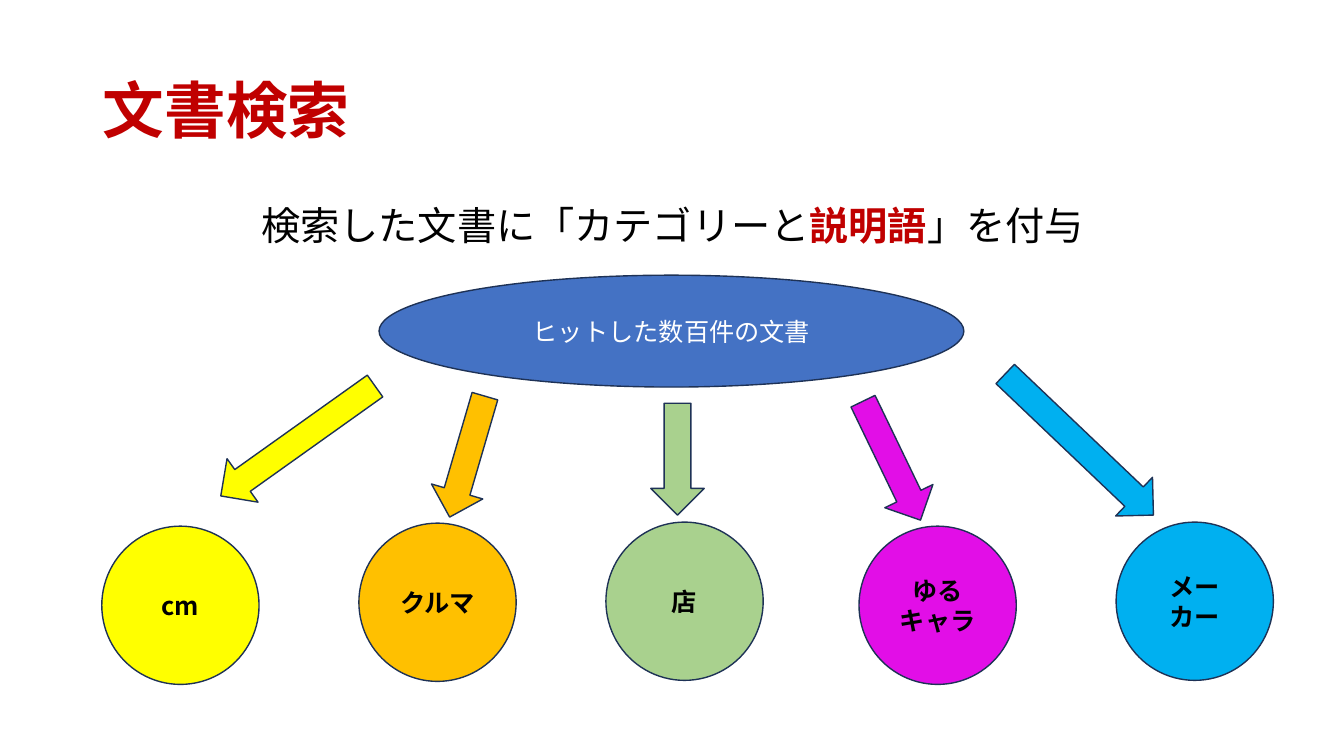
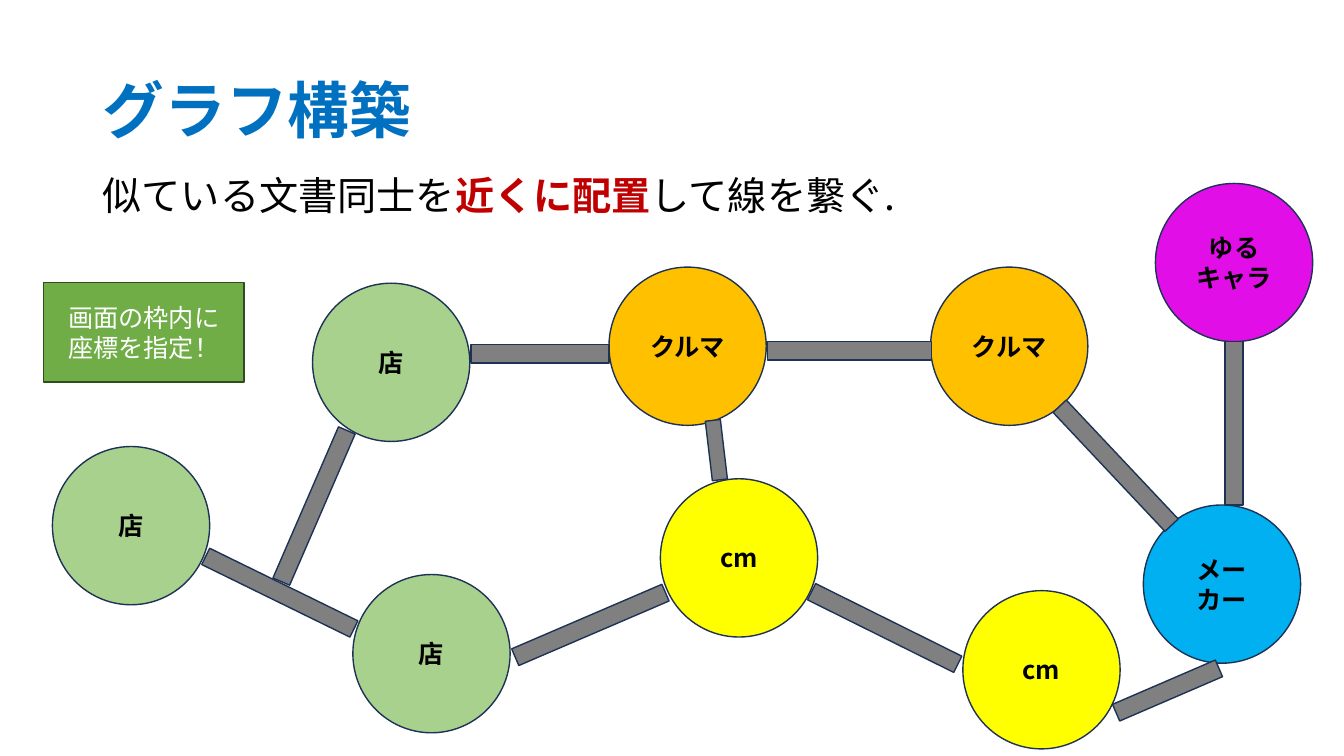
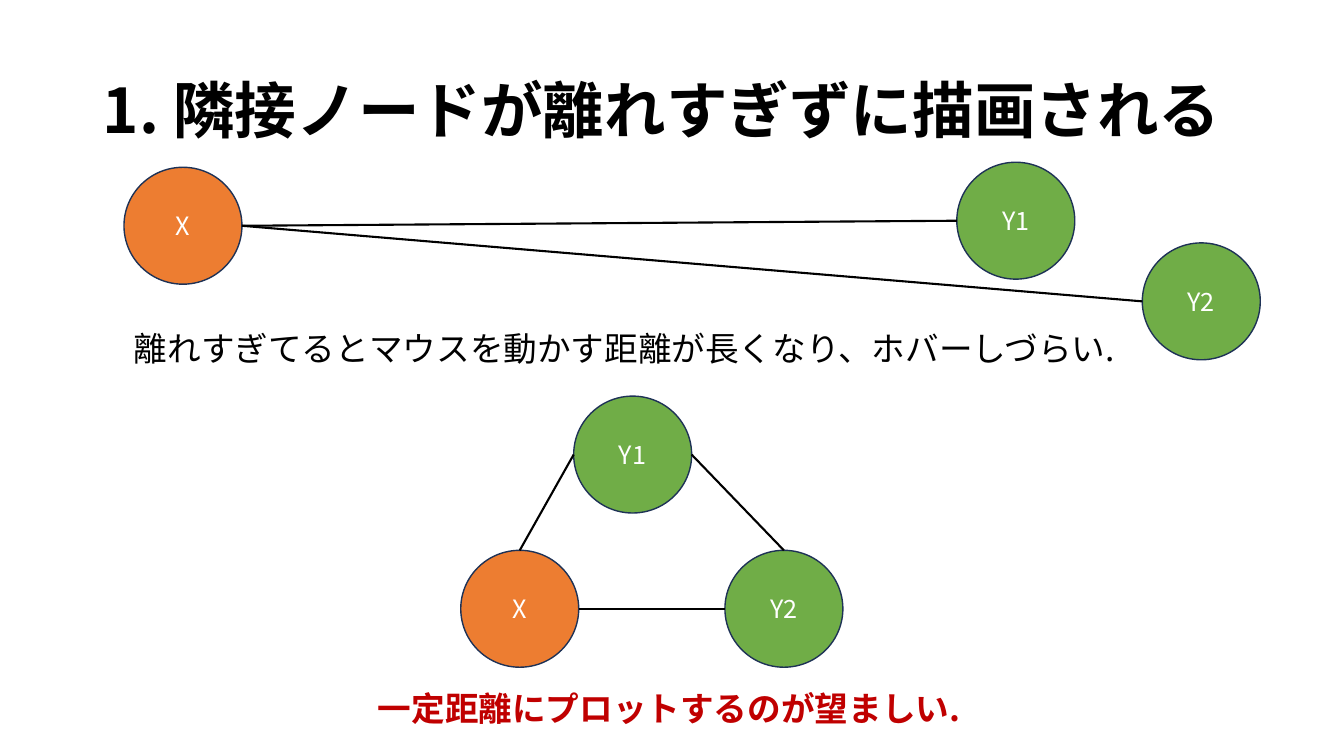
import math
from dataclasses import dataclass

from lxml import etree
from pptx import Presentation
from pptx.dml.color import RGBColor
from pptx.enum.shapes import MSO_CONNECTOR, MSO_SHAPE
from pptx.enum.text import MSO_ANCHOR, MSO_AUTO_SIZE, PP_ALIGN
from pptx.oxml.ns import qn
from pptx.util import Inches, Pt

LEFT, CENTER = PP_ALIGN.LEFT, PP_ALIGN.CENTER
MIDDLE = MSO_ANCHOR.MIDDLE
NO_AUTOFIT = MSO_AUTO_SIZE.NONE
STRAIGHT = MSO_CONNECTOR.STRAIGHT
OVAL, RECTANGLE = MSO_SHAPE.OVAL, MSO_SHAPE.RECTANGLE
DOCUMENT_CIRCLE = MSO_SHAPE.FLOWCHART_CONNECTOR
BAR, DOWN_ARROW = MSO_SHAPE.FLOWCHART_PROCESS, MSO_SHAPE.DOWN_ARROW
TITLE_ONLY = 5


@dataclass(frozen=True)
class Theme:
    font: str = "Noto Sans CJK JP"
    title_size: int = 44
    lead_size: int = 28
    note_size: int = 24
    label_size: int = 18
    black: str = "000000"
    white: str = "FFFFFF"
    red: str = "C00000"
    title_blue: str = "0070C0"
    blue: str = "4472C4"
    green: str = "70AD47"
    orange: str = "ED7D31"
    gray: str = "808080"
    outline: str = "1E3256"
    green_outline: str = "314C1F"


THEME = Theme()

# Shared content: label and fill of each document category
CATEGORIES = {
    "length": ("cm", "FFFF00"),
    "car": ("クルマ", "FFC000"),
    "shop": ("店", "A9D18E"),
    "mascot": ("ゆるキャラ", "E20EE7"),
    "maker": ("メー\nカー", "00B0F0"),
}
DOCUMENT_SIZE = (1.56, 1.57)
NODE_SIZE = (1.17, 1.16)
TITLE_BOX = (0.92, 0.4, 11.5, 1.45)

# Slide 1: runs are (text, emphasised)
SEARCH_LEAD = [("検索した文書に「カテゴリーと", False), ("説明語", True), ("」を付与", False)]
SEARCH_GROUPS = [  # category, circle corner, arrow tail, arrow tip
    ("length", (1.01, 5.22), (3.72, 3.83), (2.19, 4.92)),
    ("car", (3.56, 5.19), (4.81, 3.93), (4.46, 5.13)),
    ("shop", (6.01, 5.18), (6.72, 4), (6.72, 5.11)),
    ("mascot", (8.52, 5.22), (8.56, 3.98), (9.13, 5.16)),
    ("maker", (11.07, 5.18), (9.97, 3.71), (11.44, 5.11)),
]
ARROW_WIDTH = 0.53

# Slide 2
GRAPH_LEAD = [("似ている文書同士を", False), ("近くに配置", True), ("して線を繋ぐ.", False)]
GRAPH_DOCUMENTS = [
    ("shop", (0.52, 4.43)), ("shop", (3.5, 5.7)), ("shop", (3.1, 2.81)),
    ("car", (6.04, 2.65)), ("car", (9.23, 2.65)),
    ("length", (6.55, 4.75)), ("length", (9.55, 5.86)),
    ("mascot", (11.46, 1.82)), ("maker", (11.34, 5.01)),
]
GRAPH_BARS = [  # start, end, thickness
    ((2.04, 5.52), (3.51, 6.24), 0.18),
    ((3.44, 4.27), (2.79, 5.77), 0.18),
    ((5.11, 6.52), (6.6, 5.88), 0.18),
    ((8.05, 5.87), (9.5, 6.59), 0.18),
    ((7.61, 3.48), (9.24, 3.48), 0.18),
    ((10.51, 4.03), (11.62, 5.21), 0.18),
    ((12.24, 5.01), (12.24, 3.39), 0.18),
    ((11.07, 7.07), (12.09, 6.63), 0.18),
    ((7.14, 4.76), (7.07, 4.17), 0.15),
    ((4.67, 3.51), (6.04, 3.51), 0.18),
]

# Slide 3: each layout has node corners and (node, side, node, side) edges
NODE_FILLS = {"X": THEME.orange, "Y1": THEME.green, "Y2": THEME.green}
NODE_LAYOUTS = [
    ({"X": (1.23, 1.66), "Y1": (9.49, 1.61), "Y2": (11.33, 2.41)},
     [("X", "right", "Y1", "left"), ("X", "right", "Y2", "left")]),
    ({"X": (4.57, 5.46), "Y1": (5.69, 3.93), "Y2": (7.19, 5.46)},
     [("X", "right", "Y2", "left"), ("X", "top", "Y1", "left"),
      ("Y1", "right", "Y2", "top")]),
]
SIDES = {"top": (0.5, 0), "left": (0, 0.5), "right": (1, 0.5)}
DISTANCE_NOTES = [
    ((1.23, 3.2, 10.19, 0.5),
     [("離れすぎてるとマウスを動かす距離が長くなり、ホバーしづらい.", False)]),
    ((3.65, 6.78, 6.17, 0.5), [("一定距離にプロットするのが望ましい.", True)]),
]


def rgb(color):
    return RGBColor.from_string(color)


def format_run(run, size, color, bold=False):
    run.font.name = THEME.font
    run.font.size = Pt(size)
    run.font.bold = bold
    run.font.color.rgb = rgb(color)
    east_asian = etree.SubElement(run.font._element, qn("a:ea"))
    east_asian.set("typeface", THEME.font)


def format_text(text_frame, size, color, bold=False, alignment=CENTER):
    for paragraph in text_frame.paragraphs:
        paragraph.alignment = alignment
        for run in paragraph.runs:
            format_run(run, size, color, bold)


def add_slide(presentation, title, color):
    slide = presentation.slides.add_slide(presentation.slide_layouts[TITLE_ONLY])
    shape = slide.shapes.title
    shape.left, shape.top, shape.width, shape.height = map(Inches, TITLE_BOX)
    text_frame = shape.text_frame
    text_frame.text = title
    text_frame.auto_size = NO_AUTOFIT
    text_frame.vertical_anchor = MIDDLE
    text_frame.paragraphs[0].line_spacing = 0.9
    format_text(text_frame, THEME.title_size, color, True, LEFT)
    return slide


def add_text(slide, box, runs, size, alignment=LEFT, line_spacing=1.0):
    text_frame = slide.shapes.add_textbox(*map(Inches, box)).text_frame
    text_frame.word_wrap = True
    paragraph = text_frame.paragraphs[0]
    paragraph.alignment = alignment
    paragraph.line_spacing = line_spacing
    for text, emphasised in runs:
        run = paragraph.add_run()
        run.text = text
        format_run(run, size, THEME.red if emphasised else THEME.black, emphasised)


def add_shape(slide, kind, box, fill, label="", color=THEME.white, bold=False,
              outline=THEME.outline):
    shape = slide.shapes.add_shape(kind, *map(Inches, box))
    shape.shadow.inherit = False
    shape.fill.solid()
    shape.fill.fore_color.rgb = rgb(fill)
    shape.line.color.rgb = rgb(outline)
    shape.line.width = Pt(1)
    if label:
        shape.text_frame.text = label
        shape.text_frame.vertical_anchor = MIDDLE
        format_text(shape.text_frame, THEME.label_size, color, bold)
    return shape


def add_document(slide, category, corner):
    label, fill = CATEGORIES[category]
    add_shape(slide, DOCUMENT_CIRCLE, corner + DOCUMENT_SIZE, fill, label,
              THEME.black, True)


def add_span(slide, kind, start, end, thickness, fill):
    """Place a downward shape so that it runs from start to end."""
    dx, dy = end[0] - start[0], end[1] - start[1]
    length = math.hypot(dx, dy)
    left = (start[0] + end[0] - thickness) / 2
    top = (start[1] + end[1] - length) / 2
    shape = add_shape(slide, kind, (left, top, thickness, length), fill)
    shape.rotation = math.degrees(math.atan2(dy, dx)) - 90


def side_point(corner, side):
    return [position + size * share
            for position, size, share in zip(corner, NODE_SIZE, SIDES[side])]


def add_edge(slide, start, end):
    connector = slide.shapes.add_connector(STRAIGHT, *map(Inches, (*start, *end)))
    connector.line.color.rgb = rgb(THEME.black)
    connector.line.width = Pt(1.5)
    etree.SubElement(connector._element.spPr, qn("a:effectLst"))


def build_search(presentation):
    slide = add_slide(presentation, "文書検索", THEME.red)
    add_text(slide, (0.92, 2, 11.5, 0.7), SEARCH_LEAD, THEME.lead_size, CENTER, 0.9)
    add_shape(slide, OVAL, (3.76, 2.73, 5.8, 1.11), THEME.blue, "ヒットした数百件の文書")
    for category, corner, tail, tip in SEARCH_GROUPS:
        add_document(slide, category, corner)
        add_span(slide, DOWN_ARROW, tail, tip, ARROW_WIDTH, CATEGORIES[category][1])


def build_graph(presentation):
    slide = add_slide(presentation, "グラフ構築", THEME.title_blue)
    add_text(slide, (0.92, 1.7, 10, 0.7), GRAPH_LEAD, THEME.lead_size, LEFT, 0.9)
    for category, corner in GRAPH_DOCUMENTS:
        add_document(slide, category, corner)
    for start, end, thickness in GRAPH_BARS:
        add_span(slide, BAR, start, end, thickness, THEME.gray)
    add_shape(slide, RECTANGLE, (0.43, 2.8, 1.99, 0.99), THEME.green,
              "画面の枠内に\n座標を指定！", outline=THEME.green_outline)


def build_distance(presentation):
    slide = add_slide(presentation, "1. 隣接ノードが離れすぎずに描画される", THEME.black)
    for corners, edges in NODE_LAYOUTS:
        for name, corner in corners.items():
            add_shape(slide, OVAL, corner + NODE_SIZE, NODE_FILLS[name], name)
        for first, first_side, second, second_side in edges:
            add_edge(slide, side_point(corners[first], first_side),
                     side_point(corners[second], second_side))
    for box, runs in DISTANCE_NOTES:
        add_text(slide, box, runs, THEME.note_size)


def main():
    presentation = Presentation()
    presentation.slide_width = Inches(13.33)
    presentation.slide_height = Inches(7.5)
    build_search(presentation)
    build_graph(presentation)
    build_distance(presentation)
    presentation.save("out.pptx")


if __name__ == "__main__":
    main()
